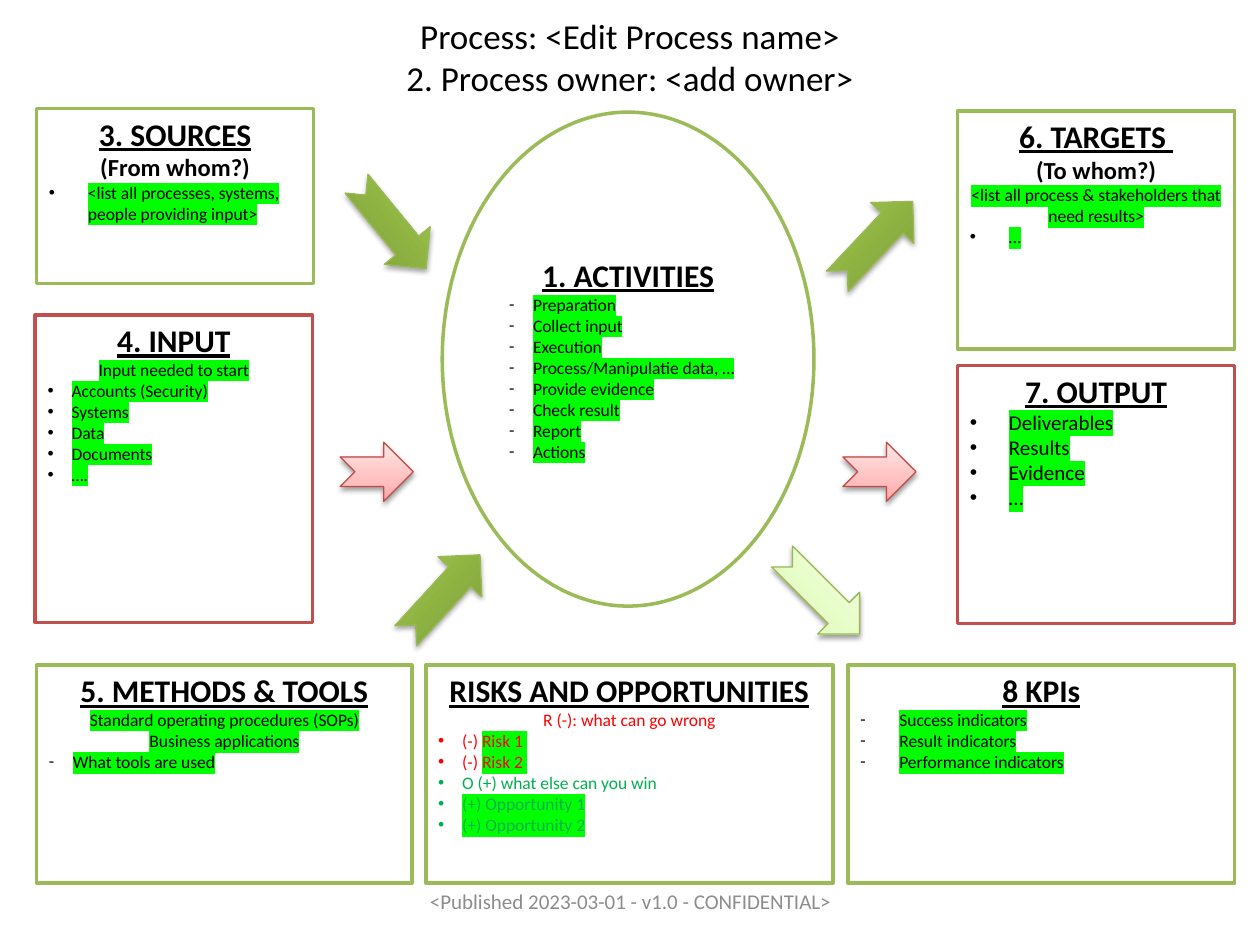
from dataclasses import dataclass

import pptx
import pptx.dml.color
import pptx.enum.shapes
import pptx.enum.text
import pptx.oxml
import pptx.oxml.ns
import pptx.util
from pptx.util import Inches

FONT = "Calibri"
BLACK, WHITE, GREY = "000000", "FFFFFF", "8C8C8C"
GREEN, RED = "9BBB59", "C0504D"
RISK, OPPORTUNITY, MARKER = "FF0000", "00B050", "00FF00"
NAMESPACE = pptx.oxml.ns.nsdecls("a")
SHAPE = pptx.enum.shapes.MSO_SHAPE
ANCHOR = pptx.enum.text.MSO_ANCHOR
ALIGN = pptx.enum.text.PP_ALIGN


@dataclass
class Line:
    """A paragraph: plain text, then text on a marker background."""
    plain: str = ""
    marked: str = ""
    size: int = 10
    color: str = BLACK
    bullet: str = ""
    indent: float = 0.19
    bold: bool = False
    underline: bool = False


@dataclass
class Box:
    left: float
    top: float
    width: float
    height: float
    outline: str
    lines: list[Line]
    preset: int = SHAPE.RECTANGLE
    anchor: int = ANCHOR.TOP


@dataclass
class ArrowStyle:
    outline: str
    stops: list[tuple[int, str]]
    shadow_alpha: int


@dataclass
class Arrow:
    left: float
    top: float
    width: float
    rotation: float
    style: ArrowStyle


def rgb(color: str) -> pptx.dml.color.RGBColor:
    return pptx.dml.color.RGBColor.from_string(color)


def heading(text: str) -> Line:
    return Line(text, size=18, bold=True, underline=True)


def subheading(text: str) -> Line:
    return Line(text, size=14, bold=True)


def marked_list(bullet: str, indent: float, *items: str, size: int = 10) -> list[Line]:
    return [Line(marked=item, bullet=bullet, indent=indent, size=size) for item in items]


def add_bullet(paragraph, character: str, indent: float) -> None:
    properties = paragraph._p.get_or_add_pPr()
    properties.set("marL", str(Inches(indent)))
    properties.set("indent", str(-Inches(indent)))
    typeface = "Arial" if character == "•" else FONT
    font = pptx.oxml.parse_xml(f'<a:buFont {NAMESPACE} typeface="{typeface}"/>')
    bullet = pptx.oxml.parse_xml(f'<a:buChar {NAMESPACE} char="{character}"/>')
    properties.insert(0, font)
    properties.insert(1, bullet)


def add_run(paragraph, text: str, color: str, marked: bool) -> None:
    run = paragraph.add_run()
    run.text = text
    run.font.color.rgb = rgb(color)
    if marked:
        run._r.get_or_add_rPr().append(pptx.oxml.parse_xml(
            f'<a:highlight {NAMESPACE}><a:srgbClr val="{MARKER}"/></a:highlight>'))


def write_lines(frame, lines: list[Line], anchor: int) -> None:
    frame.word_wrap = True
    frame.vertical_anchor = anchor
    for number, line in enumerate(lines):
        paragraph = frame.add_paragraph() if number else frame.paragraphs[0]
        paragraph.alignment = ALIGN.LEFT if line.bullet else ALIGN.CENTER
        paragraph.font.name = FONT
        paragraph.font.size = pptx.util.Pt(line.size)
        paragraph.font.bold = line.bold
        paragraph.font.underline = line.underline
        if line.bullet:
            add_bullet(paragraph, line.bullet, line.indent)
        for text, marked in ((line.plain, False), (line.marked, True)):
            if text:
                add_run(paragraph, text, line.color, marked)


def add_box(slide, box: Box) -> None:
    shape = slide.shapes.add_shape(box.preset, Inches(box.left), Inches(box.top),
                                   Inches(box.width), Inches(box.height))
    shape.shadow.inherit = False
    shape.fill.solid()
    shape.fill.fore_color.rgb = rgb(WHITE)
    shape.line.color.rgb = rgb(box.outline)
    shape.line.width = pptx.util.Pt(2)
    write_lines(shape.text_frame, box.lines, box.anchor)


def add_arrow(slide, arrow: Arrow) -> None:
    shape = slide.shapes.add_shape(SHAPE.NOTCHED_RIGHT_ARROW, Inches(arrow.left),
                                   Inches(arrow.top), Inches(arrow.width), Inches(0.47))
    shape.rotation = arrow.rotation
    shape.line.color.rgb = rgb(arrow.style.outline)
    shape.line.width = pptx.util.Pt(0.75)
    shape.fill.gradient()
    shape.fill.gradient_angle = 90
    properties = shape._element.spPr
    stops = properties.find(".//" + pptx.oxml.ns.qn("a:gsLst"))
    for stop in list(stops):
        stops.remove(stop)
    for position, color in arrow.style.stops:
        stops.append(pptx.oxml.parse_xml(
            f'<a:gs {NAMESPACE} pos="{position * 1000}"><a:srgbClr val="{color}"/></a:gs>'))
    shape.shadow.inherit = False
    properties.find(pptx.oxml.ns.qn("a:effectLst")).append(pptx.oxml.parse_xml(
        f'<a:outerShdw {NAMESPACE} blurRad="{pptx.util.Pt(3.1)}" dist="{pptx.util.Pt(1.7)}" '
        f'dir="5400000" rotWithShape="0"><a:srgbClr val="{BLACK}">'
        f'<a:alpha val="{arrow.style.shadow_alpha * 1000}"/></a:srgbClr></a:outerShdw>'))


BOTTOM, BOTTOM_HEIGHT = 5.28, 1.73
BOXES = [
    Box(3.51, 0.89, 2.95, 3.92, GREEN, [
        heading("1. ACTIVITIES"),
        *marked_list("-", 0.19, "Preparation", "Collect input", "Execution",
                     "Process/Manipulatie data, …", "Provide evidence", "Check result",
                     "Report", "Actions")], SHAPE.OVAL, ANCHOR.MIDDLE),
    Box(0.29, 0.86, 2.2, 1.39, GREEN, [
        heading("3. SOURCES"), subheading("(From whom?)"),
        *marked_list("•", 0.31, "<list all processes, systems, people providing input>")]),
    Box(7.6, 0.88, 2.2, 1.89, GREEN, [
        heading("6. TARGETS "), subheading("(To whom?)"),
        Line(marked="<list all process & stakeholders that need results>"),
        *marked_list("•", 0.31, "…")]),
    Box(0.28, 2.5, 2.2, 2.44, RED, [
        heading("4. INPUT"), Line(marked="Input needed to start"),
        *marked_list("•", 0.19, "Accounts (Security)", "Systems", "Data", "Documents", "….")]),
    Box(7.6, 2.9, 2.2, 2.05, RED, [
        heading("7. OUTPUT"),
        *marked_list("•", 0.31, "Deliverables", "Results", "Evidence", "…", size=12)]),
    Box(0.29, BOTTOM, 2.98, BOTTOM_HEIGHT, GREEN, [
        heading("5. METHODS & TOOLS"),
        Line(marked="Standard operating procedures (SOPs)"),
        Line(marked="Business applications"),
        *marked_list("-", 0.19, "What tools are used")]),
    Box(3.38, BOTTOM, 3.23, BOTTOM_HEIGHT, GREEN, [
        heading("RISKS AND OPPORTUNITIES"),
        Line("R (-): what can go wrong", color=RISK),
        *(Line("(-) ", f"Risk {n} ", color=RISK, bullet="•") for n in (1, 2)),
        Line("O (+) what else can you win", color=OPPORTUNITY, bullet="•"),
        *(Line(marked=f"(+) Opportunity {n}", color=OPPORTUNITY, bullet="•") for n in (1, 2))]),
    Box(6.73, BOTTOM, 3.07, BOTTOM_HEIGHT, GREEN, [
        heading("8 KPIs"),
        *marked_list("-", 0.31, "Success indicators", "Result indicators",
                     "Performance indicators")]),
]

DARK_GREEN = ArrowStyle("98B955", [(0, "779737"), (80, "9BC348"), (100, "9DC746")], 35)
LIGHT_GREEN = ArrowStyle("98B955", [(0, "DAFDA7"), (35, "E4FCC2"), (100, "F5FFE7")], 38)
PINK = ArrowStyle("BF4C48", [(0, "FFA6A5"), (35, "FFC0BF"), (100, "FFE7E7")], 38)
ARROWS = [
    Arrow(6.51, 1.68, 0.87, 313.3, DARK_GREEN),
    Arrow(2.67, 1.56, 0.87, 50.7, DARK_GREEN),
    Arrow(3.08, 4.49, 0.87, 312.5, DARK_GREEN),
    Arrow(6.08, 4.49, 0.87, 45, LIGHT_GREEN),
    Arrow(2.7, 3.51, 0.58, 0, PINK),
    Arrow(6.69, 3.51, 0.58, 0, PINK),
]


def main() -> None:
    presentation = pptx.Presentation()
    presentation.slide_width, presentation.slide_height = Inches(10), Inches(7.5)
    slide = presentation.slides.add_slide(presentation.slide_layouts[5])
    title = slide.shapes.title
    title.left, title.top, title.width, title.height = 0, 0, Inches(10), Inches(0.89)
    write_lines(title.text_frame, [Line("Process: <Edit Process name>", size=20),
                                   Line("2. Process owner: <add owner>", size=20)],
                ANCHOR.MIDDLE)
    for box in BOXES:
        add_box(slide, box)
    for arrow in ARROWS:
        add_arrow(slide, arrow)
    footer = slide.shapes.add_textbox(Inches(3.03), Inches(6.95), Inches(3.95), Inches(0.4))
    write_lines(footer.text_frame, [Line("<Published 2023-03-01 - v1.0 - CONFIDENTIAL>",
                                         size=12, color=GREY)], ANCHOR.MIDDLE)
    presentation.save("out.pptx")


if __name__ == "__main__":
    main()
